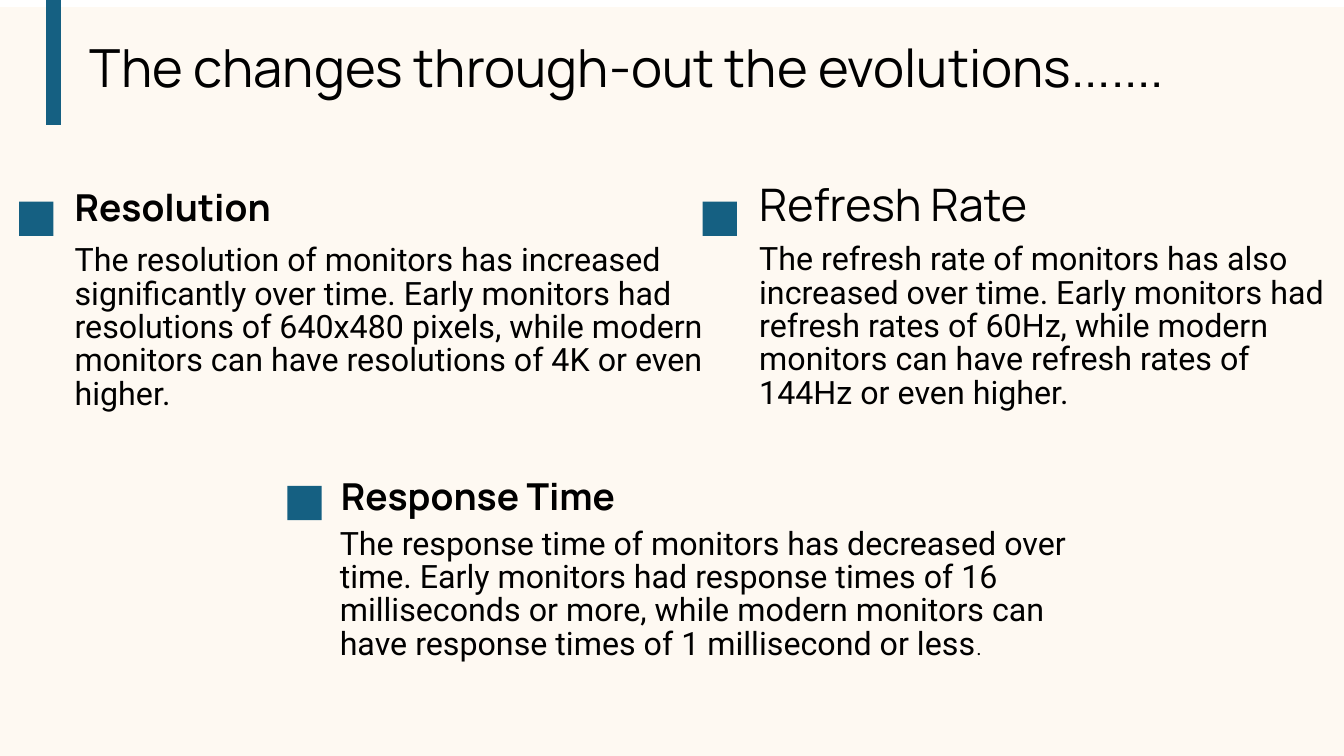
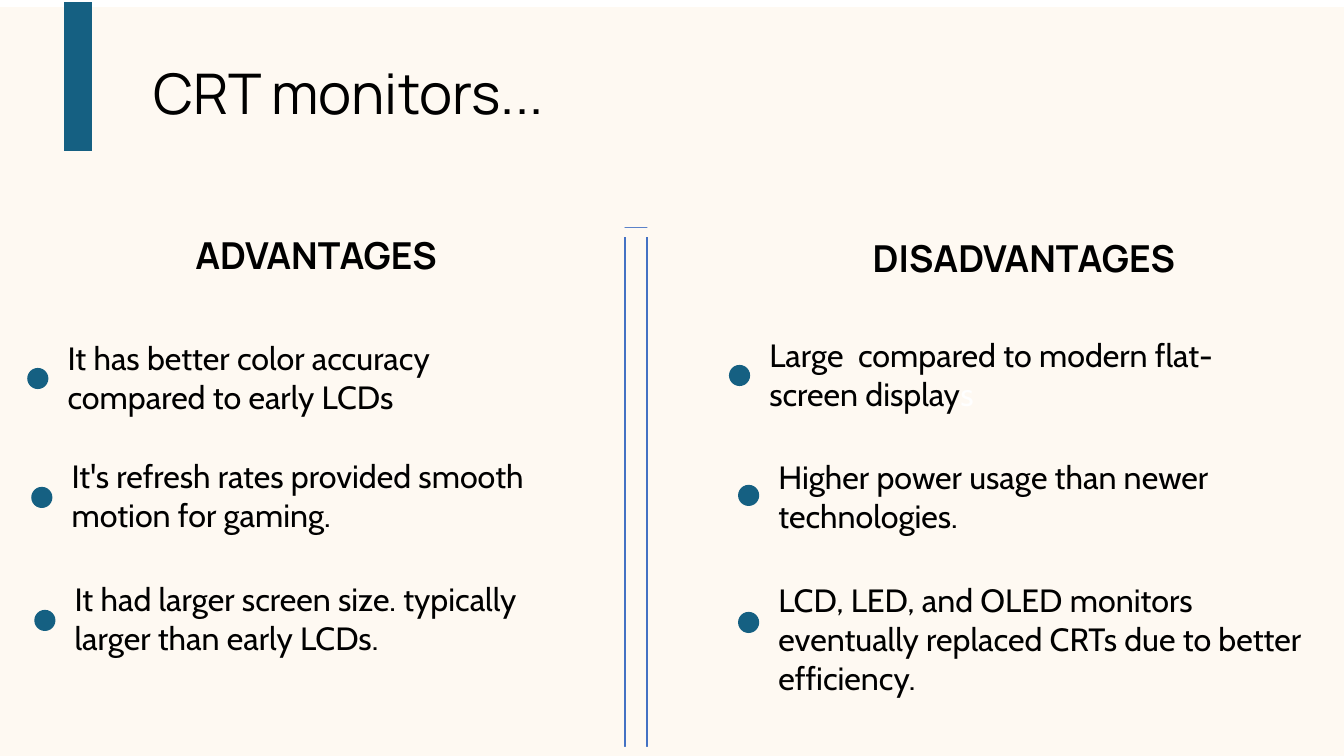
import pptx
import pptx.dml.color
import pptx.enum.shapes
import pptx.enum.text
import pptx.util

Inches = pptx.util.Inches
Pt = pptx.util.Pt
RGBColor = pptx.dml.color.RGBColor
SHAPE = pptx.enum.shapes.MSO_SHAPE
ALIGN = pptx.enum.text.PP_ALIGN
AUTO_SIZE = pptx.enum.text.MSO_AUTO_SIZE

CREAM = RGBColor(0xFE, 0xF9, 0xF2)
TEAL = RGBColor(0x15, 0x60, 0x82)
BLUE = RGBColor(0x44, 0x72, 0xC4)
WHITE = RGBColor(0xFF, 0xFF, 0xFF)
BLACK = RGBColor(0, 0, 0)

TITLE_FONT = "Manrope"
BODY_FONT = "Roboto"
LIST_FONT = "Cabin"
HEADING_SIZE = 26.5
BODY_SIZE = 23
TITLE_SPACING = 64.2
HEADING_SPACING = 22.9
BODY_SPACING = 23.8
NO_MARGINS = (0, 0)
LIST_MARGINS = (0.08, 0.04)
MARKER_SIZE = 0.34
DOT_SIZE = 0.21
DOT_OFFSET = 0.32

FEATURES = [
    {
        "marker": (0.19, 2),
        "heading": ("Resolution", (0.74, 1.95, 3.41, 0.33), HEADING_SIZE, True),
        "body": (
            "The resolution of monitors has increased significantly over time. "
            "Early monitors had resolutions of 640x480 pixels, while modern "
            "monitors can have resolutions of 4K or even higher."
        ),
        "body_box": (0.74, 2.43, 6.58, 1.63),
    },
    {
        "marker": (6.97, 2),
        "heading": ("Refresh Rate", (7.53, 1.97, 2.95, 0.32), 32, False),
        "body": (
            "The refresh rate of monitors has also increased over time. "
            "Early monitors had refresh rates of 60Hz, while modern "
            "monitors can have refresh rates of 144Hz or even higher."
        ),
        "body_box": (7.53, 2.42, 5.74, 1.96),
    },
    {
        "marker": (2.85, 4.82),
        "heading": ("Response Time", (3.38, 4.82, 3.41, 0.33), HEADING_SIZE, True),
        "body": (
            "The response time of monitors has decreased over time. "
            "Early monitors had response times of 16 milliseconds or more, while "
            "modern monitors can have response times of 1 millisecond or less"
        ),
        "body_box": (3.37, 5.24, 7.55, 1.63),
        "ending": (".", 14.5, BLACK),
    },
]

HEADINGS = [
    ("ADVANTAGES", (1.14, 2.27, 3.99, 0.53)),
    ("DISADVANTAGES", (8.13, 2.3, 4.05, 0.53)),
]

POINTS = [
    ("It has better color accuracy compared to early LCDs",
     (0.59, 3.32, 5.18, 0.87), 3.65, None),
    ("It's refresh rates provided smooth motion for gaming.",
     (0.63, 4.49, 5.18, 0.87), 4.83, None),
    ("It had larger screen size. typically larger than early LCDs.",
     (0.66, 5.71, 5.18, 0.87), 6.05, None),
    ("Large  compared to modern flat-screen display",
     (7.55, 3.29, 5.18, 0.87), 3.62, ("s", BODY_SIZE, WHITE)),
    ("Higher power usage than newer technologies.",
     (7.64, 4.5, 5.18, 0.87), 4.81, None),
    ("LCD, LED, and OLED monitors eventually replaced CRTs due to better efficiency.",
     (7.64, 5.72, 5.72, 1.26), 6.07, None),
]


def add_block(slide, kind, box, fill, line=None):
    shape = slide.shapes.add_shape(kind, *map(Inches, box))
    shape.shadow.inherit = False
    shape.fill.solid()
    shape.fill.fore_color.rgb = fill
    if line is None:
        shape.line.fill.background()
    else:
        shape.line.color.rgb = line
        shape.line.width = Pt(1.5)
    return shape


def format_run(run, font_name, size, color=BLACK, bold=False):
    run.font.name = font_name
    run.font.size = Pt(size)
    run.font.color.rgb = color
    run.font.bold = bold


def add_text(slide, text, box, font_name, size, bold=False, spacing=None,
             margins=NO_MARGINS, alignment=ALIGN.LEFT, ending=None):
    shape = slide.shapes.add_textbox(*map(Inches, box))
    frame = shape.text_frame
    frame.word_wrap = True
    frame.margin_left = frame.margin_right = Inches(margins[0])
    frame.margin_top = frame.margin_bottom = Inches(margins[1])
    frame.auto_size = AUTO_SIZE.NONE if spacing else AUTO_SIZE.SHAPE_TO_FIT_TEXT
    paragraph = frame.paragraphs[0]
    paragraph.text = text
    paragraph.alignment = alignment
    if spacing:
        paragraph.line_spacing = Pt(spacing)
    format_run(paragraph.runs[0], font_name, size, bold=bold)
    if ending:
        ending_text, ending_size, ending_color = ending
        run = paragraph.add_run()
        run.text = ending_text
        format_run(run, font_name, ending_size, ending_color)


def add_titled_slide(presentation, title, title_box, title_size, bar_box):
    slide = presentation.slides.add_slide(presentation.slide_layouts[6])
    slide.background.fill.solid()
    slide.background.fill.fore_color.rgb = CREAM
    add_block(slide, SHAPE.RECTANGLE, (-0.71, 0, 14.75, 0.07), WHITE)
    add_block(slide, SHAPE.MATH_MINUS, bar_box, TEAL)
    add_text(slide, title, title_box, TITLE_FONT, title_size, spacing=TITLE_SPACING)
    return slide


def add_feature(slide, feature):
    add_block(slide, SHAPE.RECTANGLE,
              (*feature["marker"], MARKER_SIZE, MARKER_SIZE), TEAL)
    heading, heading_box, size, bold = feature["heading"]
    add_text(slide, heading, heading_box, TITLE_FONT, size, bold, HEADING_SPACING)
    add_text(slide, feature["body"], feature["body_box"], BODY_FONT, BODY_SIZE,
             spacing=BODY_SPACING, ending=feature.get("ending"))


def add_divider(slide):
    divider = add_block(slide, SHAPE.MATH_MINUS, (2.77, 4.4, 7.07, 0.93), CREAM, BLUE)
    divider.rotation = 90
    for left, top in ((3.33, 2.26), (3.12, 7.41)):
        add_block(slide, SHAPE.RECTANGLE, (left, top, 5.9, 0.09), CREAM)


def add_point(slide, text, box, dot_top, ending):
    dot_box = (box[0] - DOT_OFFSET, dot_top, DOT_SIZE, DOT_SIZE)
    add_block(slide, SHAPE.FLOWCHART_CONNECTOR, dot_box, TEAL)
    add_text(slide, text, box, LIST_FONT, BODY_SIZE,
             margins=LIST_MARGINS, ending=ending)


def build_changes_slide(presentation):
    slide = add_titled_slide(
        presentation, "The changes through-out the evolutions.......",
        (0.89, 0.08, 11.78, 1.05), 37.5, (0.43, -2, 0.2, 5.24))
    for feature in FEATURES:
        add_feature(slide, feature)


def build_crt_slide(presentation):
    slide = add_titled_slide(
        presentation, "CRT monitors...",
        (1.52, 0.36, 6.89, 1.09), 40, (0.59, -2.39, 0.37, 6.3))
    add_divider(slide)
    for heading, box in HEADINGS:
        add_text(slide, heading, box, TITLE_FONT, HEADING_SIZE, bold=True,
                 margins=LIST_MARGINS, alignment=ALIGN.CENTER)
    for point in POINTS:
        add_point(slide, *point)


def main():
    presentation = pptx.Presentation()
    presentation.slide_width = Inches(13.33)
    presentation.slide_height = Inches(7.5)
    build_changes_slide(presentation)
    build_crt_slide(presentation)
    presentation.save("out.pptx")


if __name__ == "__main__":
    main()
